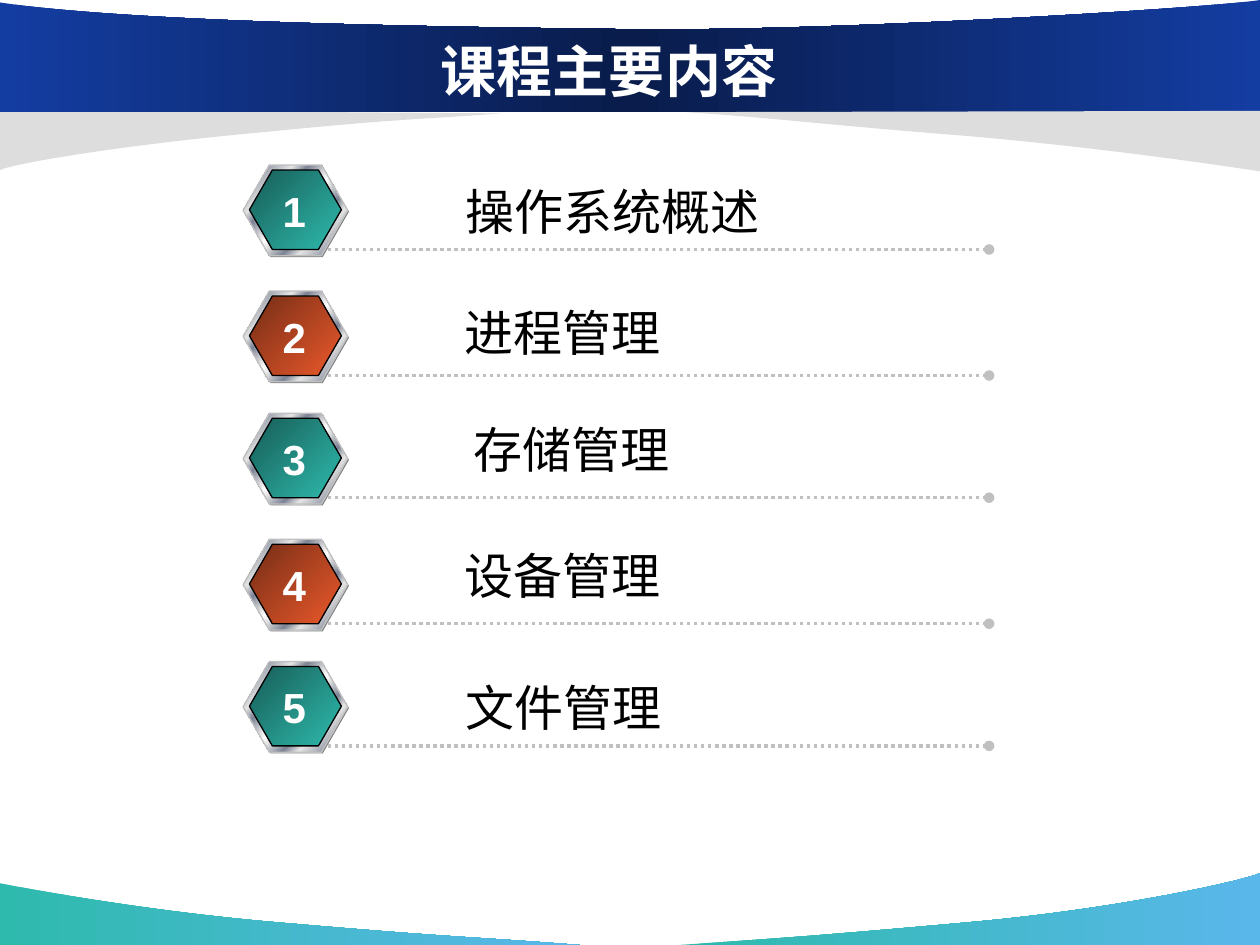
from copy import deepcopy

from pptx import Presentation
from pptx.dml.color import RGBColor
from pptx.enum.dml import MSO_LINE
from pptx.enum.shapes import MSO_CONNECTOR, MSO_SHAPE
from pptx.enum.text import MSO_ANCHOR, MSO_AUTO_SIZE, PP_ALIGN
from pptx.oxml.ns import qn
from pptx.util import Inches, Pt

HEXAGON = MSO_SHAPE.HEXAGON
STRAIGHT = MSO_CONNECTOR.STRAIGHT
DOTTED = MSO_LINE.ROUND_DOT
LEFT, CENTER = PP_ALIGN.LEFT, PP_ALIGN.CENTER
TOP, MIDDLE = MSO_ANCHOR.TOP, MSO_ANCHOR.MIDDLE
FIT_TEXT, FIXED = MSO_AUTO_SIZE.SHAPE_TO_FIT_TEXT, MSO_AUTO_SIZE.NONE

prs = Presentation()
prs.slide_width, prs.slide_height = Inches(10), Inches(7.5)
CELL = prs.slide_width // 10  # the slide is a grid of 10 columns by 7.5 rows
slide = prs.slides.add_slide(prs.slide_layouts[6])


def paint(fill, *stops, angle=0):
    """One hex string paints solid; (position, hex) pairs paint a gradient."""
    if isinstance(stops[0], str):
        fill.solid()
        fill.fore_color.rgb = RGBColor.from_string(stops[0])
        return
    fill.gradient()
    fill.gradient_angle = -angle % 360
    stop_list = fill._xPr.find(qn("a:gradFill")).find(qn("a:gsLst"))
    while len(stop_list) < len(stops):
        stop_list.append(deepcopy(stop_list[0]))
    for stop, (position, colour) in zip(fill.gradient_stops, stops):
        stop.position = position / 100
        stop.color.rgb = RGBColor.from_string(colour)


def add_text(shapes, text, box, size, colour, bold=False, align=LEFT,
             anchor=TOP, wrap=True, fit=FIT_TEXT):
    frame = shapes.add_textbox(*(round(v * CELL) for v in box)).text_frame
    frame.word_wrap, frame.auto_size = wrap, fit
    frame.vertical_anchor = anchor
    paragraph = frame.paragraphs[0]
    paragraph.alignment = align
    run = paragraph.add_run()
    run.text = text
    run.font.name, run.font.size, run.font.bold = "Arial", Pt(size), bold
    paint(run.font.fill, colour)


# Curved bands: start, Bezier triples (two handles and an end), corners, fill
SEA = [(0, "2EBAAD"), (100, "5AB7EA")]
NAVY = [(0, "143DA2"), (50, "091C4B"), (100, "143DA2")]
GREY = ["DDDDDD"]
waves = [
    ((4.6, 7.5), [(3.84, 7.44), (3.58, 7.44), (2.32, 7.33),
                  (1.06, 7.23), (0.01, 7.01), (0, 7.01)], [(0, 7.5)], SEA),
    ((5.39, 7.5), [(6.14, 7.45), (6.46, 7.43), (7.69, 7.32),
                   (8.92, 7.21), (9.9, 6.98), (10, 6.93)], [(10, 7.5)], SEA),
    ((3.98, 0.9), [(3.31, 0.95), (3.18, 0.94), (2.08, 1.05),
                   (0.97, 1.15), (0.09, 1.3), (0, 1.35)], [(0, 0.87)], GREY),
    ((10, 0), [(9.64, 0.06), (6.53, 0.26), (4.87, 0.23),
               (3.21, 0.21), (1.01, 0.17), (0, 0.02)],
     [(0, 0.89), (10, 0.89)], NAVY),
    ((5.44, 0.89), [(6.2, 0.94), (6.42, 0.98), (7.68, 1.08),
                    (8.94, 1.19), (9.99, 1.36), (10, 1.36)], [(10, 0.88)], GREY),
]
for start, curve, corners, colours in waves:
    points = [(x * CELL, y * CELL) for x, y in [start, *curve, *corners]]
    builder = slide.shapes.build_freeform(*points[0])
    builder.add_line_segments(points[1:], close=True)
    wave = builder.convert_to_shape()
    wave.shadow.inherit = False
    wave.line.fill.background()
    paint(wave.fill, *colours)
    # Join every three straight segments of the curve into one Bezier segment
    segments = list(wave._element.iter(qn("a:lnTo")))[:len(curve)]
    for i in range(0, len(segments), 3):
        bezier = segments[i].makeelement(qn("a:cubicBezTo"), {})
        segments[i].addprevious(bezier)
        for segment in segments[i:i + 3]:
            bezier.append(segment[0])
            segment.getparent().remove(segment)

add_text(slide.shapes, "课程主要内容", (0.92, 0.25, 7.83, 0.62), 32, "FFFFFF",
         bold=True, align=CENTER, anchor=MIDDLE, fit=FIXED)

# Chapters: title, top of the badge, left and top of the title
chapters = [
    ("操作系统概述", 1.31, 3.6, 1.39),
    ("进程管理", 2.31, 3.59, 2.35),
    ("存储管理", 3.28, 3.66, 3.28),
    ("设备管理", 4.28, 3.59, 4.28),
    ("文件管理", 5.25, 3.6, 5.33),
]
STEEL = [(0, "E6E6E6"), (8, "7D8496"), (26, "E6E6E6"), (34, "7D8496"),
         (46, "E6E6E6"), (50, "FFFFFF"), (54, "E6E6E6"), (66, "7D8496"),
         (74, "E6E6E6"), (92, "7D8496"), (100, "E6E6E6")]
TEAL = [(0, "175D57"), (100, "2EBAAD")]
ORANGE = [(0, "752D16"), (100, "EB592B")]

for number, (title, top, title_left, title_top) in enumerate(chapters, 1):
    row = slide.shapes.add_group_shape().shapes
    face = TEAL if number % 2 else ORANGE
    badge = [  # left, offset from the top, width, height, fill, outline
        (1.94, 0.01, 0.83, 0.72, ["808080"], None),
        (1.93, 0, 0.83, 0.72, STEEL, "C0C0C0"),
        (1.98, 0.04, 0.73, 0.63, face, "000000"),
    ]
    for left, offset, width, height, colours, edge in badge:
        hexagon = row.add_shape(HEXAGON, *(round(v * CELL) for v in
                                           (left, top + offset, width, height)))
        hexagon.adjustments[0], hexagon.adjustments[1] = 0.289, 1.155
        hexagon.shadow.inherit = False
        paint(hexagon.fill, *colours, angle=45)
        if edge:
            hexagon.line.width = Pt(0.75)
            paint(hexagon.line.fill, edge)
        else:
            hexagon.line.fill.background()

    rule = row.add_connector(STRAIGHT, *(round(v * CELL) for v in
                                         (2.6, top + 0.67, 7.85, top + 0.67)))
    rule.line.width, rule.line.dash_style = Pt(2), DOTTED
    paint(rule.line.fill, "C0C0C0")
    line_xml = rule.line._get_or_add_ln()
    line_xml.append(line_xml.makeelement(qn("a:tailEnd"), {"type": "oval"}))
    properties = rule._element.spPr
    properties.append(properties.makeelement(qn("a:effectLst"), {}))

    title_width = 2.66 if len(title) > 4 else 2.2
    title_parent = row if number in (1, len(chapters)) else slide.shapes
    add_text(title_parent, title, (title_left, title_top, title_width, 0.57),
             28, "000000")
    add_text(row, str(number), (2.14, top + 0.11, 0.39, 0.5), 24, "FFFFFF",
             bold=True, align=CENTER, wrap=False)

prs.save("out.pptx")
